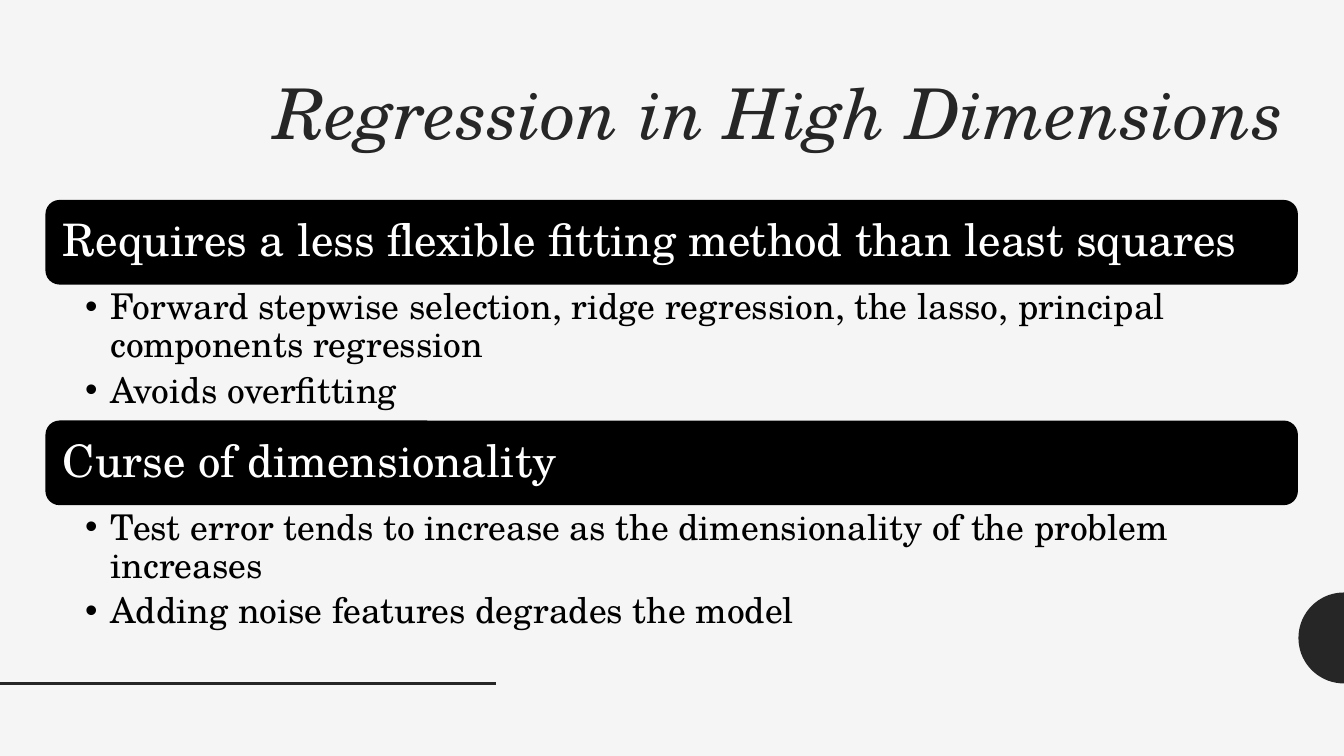
import math
from dataclasses import dataclass

from lxml import etree
from pptx import Presentation
from pptx import util as u
from pptx.dml.color import RGBColor
from pptx.enum import shapes, text
from pptx.oxml.ns import qn

TITLE = "Regression in High Dimensions"
SECTIONS = [
    ("Requires a less flexible fitting method than least squares",
     ["Forward stepwise selection, ridge regression, the lasso, principal components regression",
      "Avoids overfitting"]),
    ("Curse of dimensionality",
     ["Test error tends to increase as the dimensionality of the problem increases",
      "Adding noise features degrades the model"]),
]


@dataclass(frozen=True)
class Theme:
    font: str = "TeX Gyre Schola"
    background: str = "F5F5F5"
    dark: str = "262626"
    black: str = "000000"
    white: str = "FFFFFF"
    title_size: float = 37.5
    heading_size: float = 24
    list_size: float = 19


THEME = Theme()
SLIDE_WIDTH, SLIDE_HEIGHT = 25.4, 14.29
LEFT, WIDTH = 0.86, 23.67
TITLE_TOP, TITLE_HEIGHT = 1.24, 1.6
SECTIONS_TOP, BAR_HEIGHT, LIST_HEIGHT = 3.78, 1.6, 2.57
RULE_TOP, RULE_WIDTH = 12.92, 9.37
DISC_CENTER, DISC_RADIUS = 12.06, 0.86


def paint(shape, color):
    shape.shadow.inherit = False
    shape.fill.solid()
    shape.fill.fore_color.rgb = RGBColor.from_string(color)
    shape.line.fill.background()


def place(shape, top, height):
    shape.left, shape.top = u.Cm(LEFT), u.Cm(top)
    shape.width, shape.height = u.Cm(WIDTH), u.Cm(height)


def set_frame(frame, anchor, left, top, right, bottom):
    frame.word_wrap = True
    frame.auto_size = text.MSO_AUTO_SIZE.NONE
    frame.vertical_anchor = anchor
    frame.margin_left, frame.margin_top = u.Cm(left), u.Cm(top)
    frame.margin_right, frame.margin_bottom = u.Cm(right), u.Cm(bottom)


def format_paragraph(paragraph, size, color, align=text.PP_ALIGN.LEFT, after=0, italic=False):
    paragraph.alignment = align
    paragraph.line_spacing = 0.9
    paragraph.space_before = u.Pt(0)
    paragraph.space_after = u.Pt(after)
    for run in paragraph.runs:
        run.font.name = THEME.font
        run.font.size = u.Pt(size)
        run.font.italic = italic
        run.font.color.rgb = RGBColor.from_string(color)


def add_bullet(paragraph):
    properties = paragraph._p.get_or_add_pPr()
    properties.set("marL", str(u.Cm(0.48)))
    properties.set("indent", str(-u.Cm(0.48)))
    etree.SubElement(properties, qn("a:buChar")).set("char", "•")


def fill_title(title):
    place(title, TITLE_TOP, TITLE_HEIGHT)
    title.text_frame.text = TITLE
    set_frame(title.text_frame, text.MSO_ANCHOR.TOP, 0.25, 0.25, 0.25, 0.25)
    format_paragraph(title.text_frame.paragraphs[0], THEME.title_size, THEME.dark,
                     text.PP_ALIGN.RIGHT, italic=True)


def add_heading(slide, heading, top):
    bar = slide.shapes.add_shape(shapes.MSO_SHAPE.ROUNDED_RECTANGLE, u.Cm(LEFT), u.Cm(top),
                                 u.Cm(WIDTH), u.Cm(BAR_HEIGHT))
    paint(bar, THEME.black)
    bar.text_frame.text = heading
    set_frame(bar.text_frame, text.MSO_ANCHOR.MIDDLE, 0.25, 0.25, 0.25, 0.25)
    format_paragraph(bar.text_frame.paragraphs[0], THEME.heading_size, THEME.white)


def fill_list(body, items, top):
    place(body, top, LIST_HEIGHT)
    frame = body.text_frame
    frame.text = "\n".join(items)
    set_frame(frame, text.MSO_ANCHOR.TOP, 0.75, 0.08, 0.48, 0.08)
    for paragraph in frame.paragraphs:
        paragraph.level = 1
        add_bullet(paragraph)
        format_paragraph(paragraph, THEME.list_size, THEME.black, after=3.8)


def add_half_disc(slide):
    points = [(u.Cm(SLIDE_WIDTH + DISC_RADIUS * math.cos(math.radians(angle))),
               u.Cm(DISC_CENTER + DISC_RADIUS * math.sin(math.radians(angle))))
              for angle in range(90, 271, 5)]
    builder = slide.shapes.build_freeform(*points[0])
    builder.add_line_segments(points[1:], close=True)
    paint(builder.convert_to_shape(), THEME.dark)


def add_rule(slide):
    rule = slide.shapes.add_connector(shapes.MSO_CONNECTOR.STRAIGHT, u.Cm(0), u.Cm(RULE_TOP),
                                      u.Cm(RULE_WIDTH), u.Cm(RULE_TOP))
    rule.line.color.rgb = RGBColor.from_string(THEME.dark)
    rule.line.width = u.Pt(2)
    etree.SubElement(rule._element.spPr, qn("a:effectLst"))


def main():
    presentation = Presentation()
    presentation.slide_width, presentation.slide_height = u.Cm(SLIDE_WIDTH), u.Cm(SLIDE_HEIGHT)
    slide = presentation.slides.add_slide(presentation.slide_layouts.get_by_name("Two Content"))
    slide.background.fill.solid()
    slide.background.fill.fore_color.rgb = RGBColor.from_string(THEME.background)

    add_half_disc(slide)
    add_rule(slide)
    title, *bodies = slide.placeholders
    fill_title(title)
    for index, (body, (heading, items)) in enumerate(zip(bodies, SECTIONS)):
        top = SECTIONS_TOP + index * (BAR_HEIGHT + LIST_HEIGHT)
        add_heading(slide, heading, top)
        fill_list(body, items, top + BAR_HEIGHT)
    presentation.save("out.pptx")


if __name__ == "__main__":
    main()
